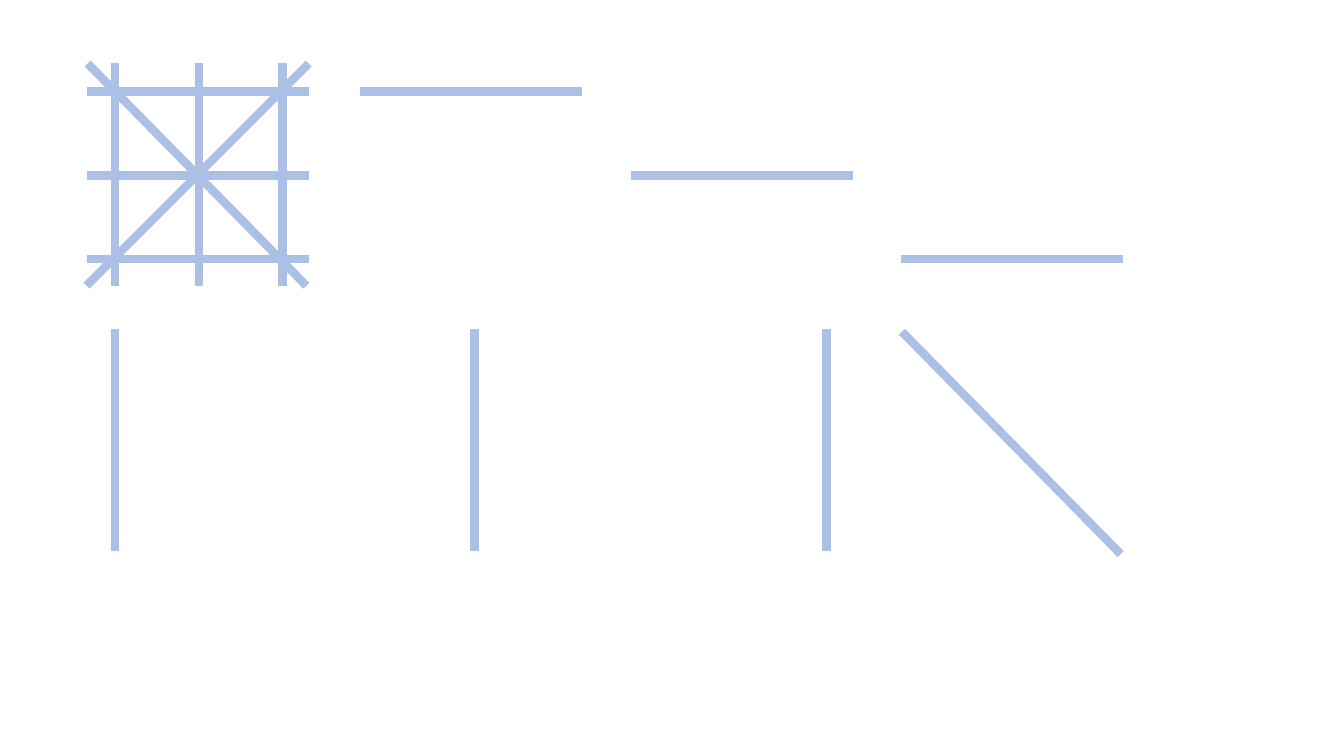
from dataclasses import dataclass

from lxml.etree import SubElement
from pptx import Presentation
from pptx.dml.color import RGBColor
from pptx.enum.shapes import MSO_CONNECTOR as Connector
from pptx.oxml.ns import qn
from pptx.util import Cm, Pt


@dataclass(frozen=True)
class Theme:
    stroke: RGBColor = RGBColor(0xAB, 0xC0, 0xE4)
    stroke_width: float = 6


THEME = Theme()

# Lengths in centimetres
LENGTH = 5.6
DIAGONAL_WIDTH = 5.51
GRID_LEFT, GRID_TOP = 2.18, 1.6
ROWS = [2.31 + 2.11 * row for row in range(3)]
COLUMNS = [2.9 + 2.11 * column for column in range(3)]


def add_stroke(slide, start, end):
    """Draw one straight stroke between two points."""
    points = [Cm(value) for value in (*start, *end)]
    stroke = slide.shapes.add_connector(Connector.STRAIGHT, *points)
    stroke.line.color.rgb = THEME.stroke
    stroke.line.width = Pt(THEME.stroke_width)
    SubElement(stroke._element.spPr, qn("a:effectLst"))


def add_horizontal(slide, left, y):
    add_stroke(slide, (left, y), (left + LENGTH, y))


def add_vertical(slide, x, top):
    add_stroke(slide, (x, top + LENGTH), (x, top))


def add_falling_diagonal(slide, left, top):
    add_stroke(slide, (left + DIAGONAL_WIDTH, top + LENGTH), (left, top))


def add_full_grid(slide):
    """Draw all eight strokes together."""
    for y in ROWS:
        add_horizontal(slide, GRID_LEFT, y)
    for x in COLUMNS:
        add_vertical(slide, x, GRID_TOP)
    add_stroke(slide, (GRID_LEFT, GRID_TOP + LENGTH), (GRID_LEFT + LENGTH, GRID_TOP))
    add_falling_diagonal(slide, 2.21, GRID_TOP)


def add_single_strokes(slide):
    """Draw the strokes one by one, beside and below the grid."""
    for index, y in enumerate(ROWS):
        add_horizontal(slide, 9.07 + 6.82 * index, y)
    for x in (COLUMNS[0], 11.96, 20.83):
        add_vertical(slide, x, 8.28)
    add_falling_diagonal(slide, 22.73, 8.36)


def main():
    deck = Presentation()
    deck.slide_width, deck.slide_height = Cm(33.87), Cm(19.05)
    slide = deck.slides.add_slide(deck.slide_layouts[6])
    add_full_grid(slide)
    add_single_strokes(slide)
    deck.save("out.pptx")


if __name__ == "__main__":
    main()
